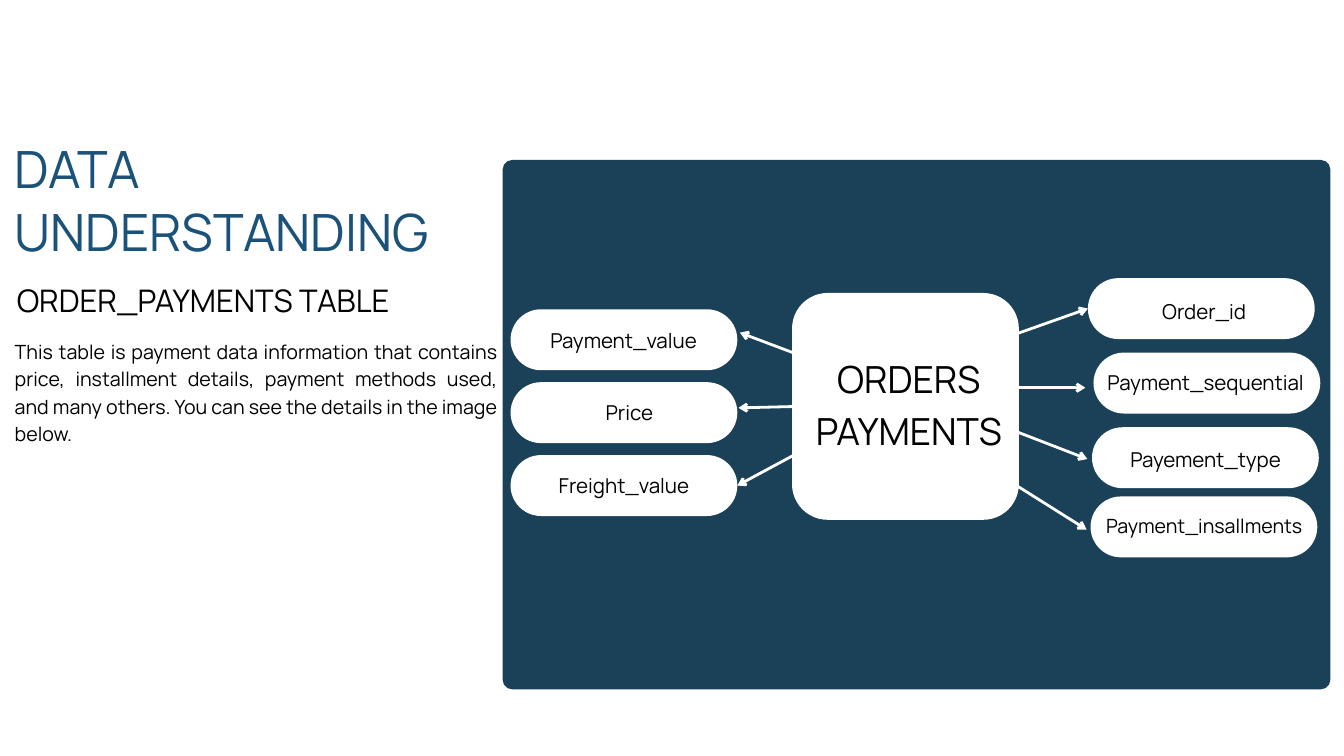
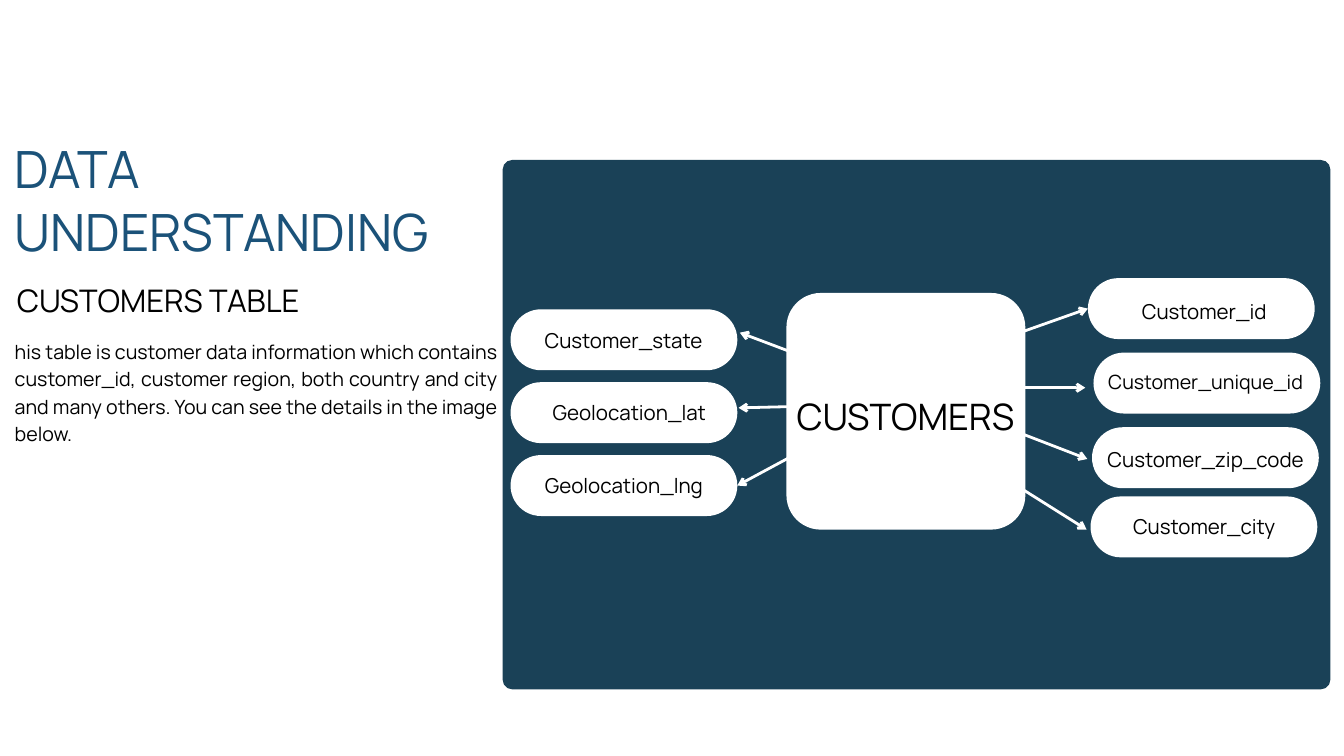
from dataclasses import dataclass
from lxml.etree import SubElement
from pptx import Presentation
from pptx.dml.color import RGBColor
from pptx.enum.shapes import MSO_CONNECTOR, MSO_SHAPE
from pptx.enum.text import MSO_AUTO_SIZE, PP_ALIGN
from pptx.oxml.ns import qn
from pptx.util import Pt

# Content: each label is (text, size)
TITLE = "DATA UNDERSTANDING"
SLIDES = [
    dict(
        head="ORDER_PAYMENTS TABLE",
        body="This table is payment data information that contains price, "
             "installment details, payment methods used, and many others. "
             "You can see the details in the image below.",
        left=[("Payment_value", 22), ("Price", 22), ("Freight_value", 22)],
        right=[("Order_id", 22), ("Payment_sequential", 22),
               ("Payement_type", 22), ("Payment_insallments", 21)],
        hub=dict(lines=["ORDERS", "PAYMENTS"], size=40, curve=0.157,
                 box=(848.6, 313.9, 243, 243), text=(816.5, 373.7, 314.6, 112)),
    ),
    dict(
        head="CUSTOMERS TABLE",
        body="his table is customer data information which contains "
             "customer_id, customer region, both country and city and many "
             "others. You can see the details in the image below.",
        left=[("Customer_state", 22), ("Geolocation_lat", 22),
              ("Geolocation_lng", 22)],
        right=[("Customer_id", 22), ("Customer_unique_id", 21),
               ("Customer_zip_code", 22), ("Customer_city", 22)],
        hub=dict(lines=["CUSTOMERS"], size=39, curve=0.145,
                 box=(842.6, 313.9, 256, 253.6), text=(848.6, 414, 243, 55.2)),
    ),
]


@dataclass(frozen=True)
class Theme:
    font: str = "Manrope"
    navy: str = "1A4157"
    blue: str = "1B5279"
    black: str = "000000"
    white: str = "FFFFFF"
    title: float = 55
    head: float = 33.3
    body: float = 21
    line: float = 3
    lead: float = 1.4


T = Theme()
PANEL = (538.6, 171.4, 886.8, 567.2)
PILL = (243, 65.3)

# Slots: pill corner, label (x, y, width), arrow start, arrow tip
# A tip of None joins the arrow to the pill.
ROW = 78.1
LEFT = [
    ((547, 331.4), (541.4, 347, 253.4), (907.2, 399.6), (792.7, 356.4)),
    ((547, 331.4 + ROW), (565.2, 424.1, 218.2), (907.2, 434.2), (791.3, 437)),
    ((547, 331.4 + 2 * ROW), (559.4, 502.6, 218.2), (925.9, 447.1), None),
]
RIGHT = [
    ((1165.6, 298), (1167.1, 316.1, 246.2), (970.6, 399.6), None),
    ((1171.6, 377.8), (1168.6, 391.7, 246.2), (925.9, 415.4), (1162.8, 415.4)),
    ((1170, 457.8), (1168.6, 474.5, 246.2), (925.9, 399.6), (1165, 491.8)),
    ((1168.4, 531.9), (1167.1, 546.5, 246.2), (925.9, 417.6), (1164.2, 567.4)),
]


def pts(vals):
    return [Pt(v) for v in vals]


def rgb(code):
    return RGBColor.from_string(code)


def write(slide, box, lines, size, color=T.black, align=PP_ALIGN.CENTER,
          lead=T.lead):
    frame = slide.shapes.add_textbox(*pts(box)).text_frame
    frame.word_wrap = True
    frame.auto_size = MSO_AUTO_SIZE.SHAPE_TO_FIT_TEXT
    frame.margin_left = frame.margin_right = 0
    frame.margin_top = frame.margin_bottom = 0
    for i, text in enumerate(lines):
        para = frame.paragraphs[0] if i == 0 else frame.add_paragraph()
        para.alignment = align
        para.line_spacing = Pt(round(size * lead, 1))
        run = para.add_run()
        run.text = text
        run.font.name = T.font
        run.font.size = Pt(size)
        run.font.color.rgb = rgb(color)


def block(slide, box, curve, color=T.white):
    shape = slide.shapes.add_shape(MSO_SHAPE.ROUNDED_RECTANGLE, *pts(box))
    shape.adjustments[0] = curve
    shape.shadow.inherit = False
    shape.fill.solid()
    shape.fill.fore_color.rgb = rgb(color)
    shape.line.fill.background()
    return shape


def arrow(slide, start, tip, pill, side):
    link = slide.shapes.add_connector(
        MSO_CONNECTOR.STRAIGHT, *pts(start), *pts(tip or start))
    if tip is None:
        link.end_connect(pill, side)
    link.line.color.rgb = rgb(T.white)
    link.line.width = Pt(T.line)
    SubElement(link.line._get_or_add_ln(), qn("a:tailEnd"), type="arrow")
    SubElement(link._element.spPr, qn("a:effectLst"))


def build(slide, data):
    block(slide, PANEL, 0.018, T.navy)

    # Column pills, each with its label and arrow; side faces the hub
    for slots, labels, side in ((LEFT, data["left"], 3),
                                (RIGHT, data["right"], 1)):
        for (spot, (x, y, wide), start, tip), (text, size) in zip(slots, labels):
            pill = block(slide, (*spot, *PILL), 0.5)
            write(slide, (x, y, wide, size * T.lead), [text], size)
            arrow(slide, start, tip, pill, side)

    # Hub covers the arrow starts
    hub = data["hub"]
    block(slide, hub["box"], hub["curve"])
    write(slide, hub["text"], hub["lines"], hub["size"])

    # Left text
    write(slide, (15.8, 146.2, 479.5, 137.5), [TITLE], T.title,
          color=T.blue, align=PP_ALIGN.LEFT, lead=1.22)
    write(slide, (18, 295.2, 444.2, 47.5), [data["head"]], T.head,
          align=PP_ALIGN.JUSTIFY)
    write(slide, (15.8, 360, 517, 146.9), [data["body"]], T.body,
          align=PP_ALIGN.JUSTIFY)


def main():
    deck = Presentation()
    deck.slide_width, deck.slide_height = Pt(1440), Pt(810)
    for data in SLIDES:
        build(deck.slides.add_slide(deck.slide_layouts[6]), data)
    deck.save("out.pptx")


if __name__ == "__main__":
    main()
